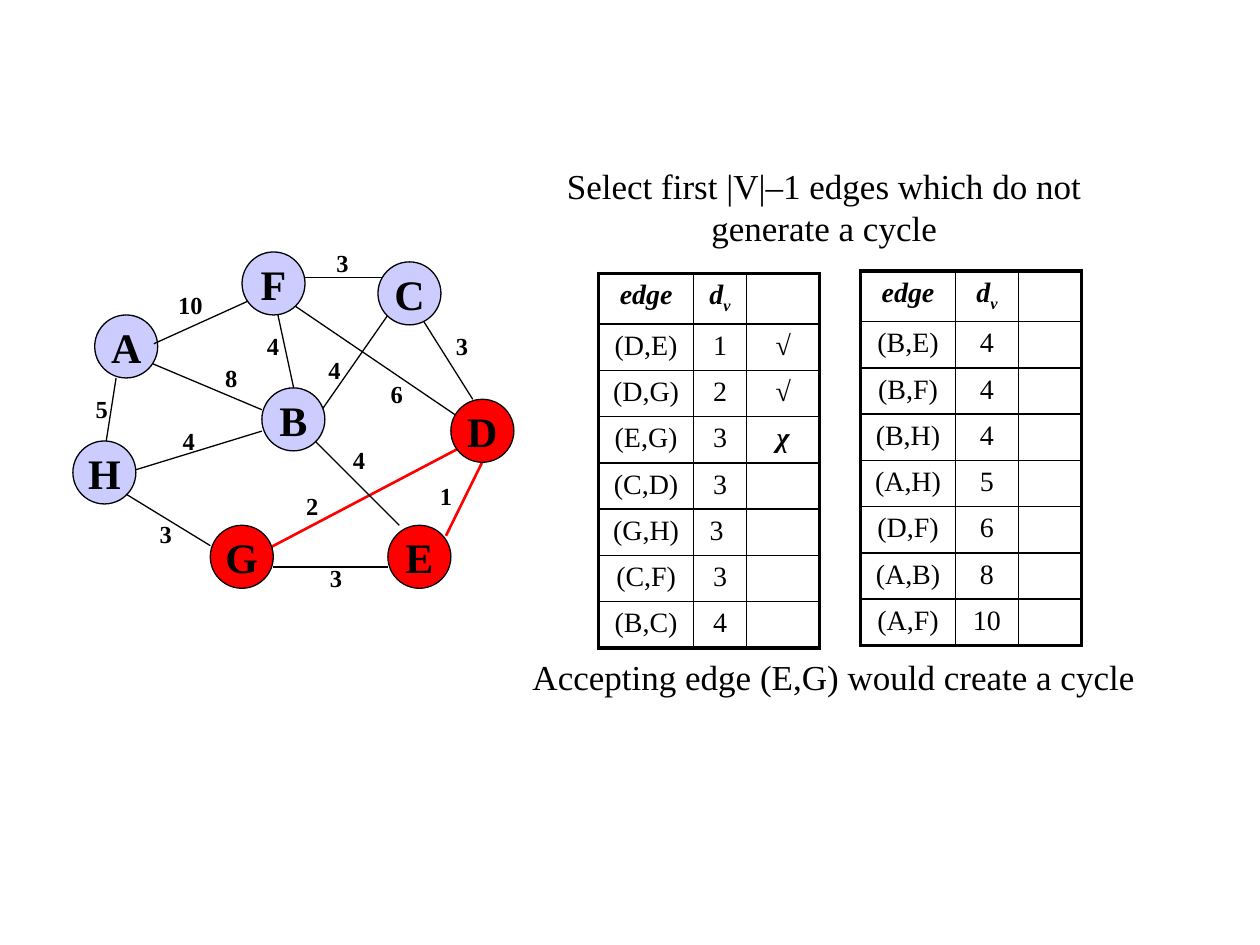
from lxml import etree
from pptx import Presentation
from pptx.dml.color import RGBColor
from pptx.enum.shapes import MSO_CONNECTOR, MSO_SHAPE
from pptx.enum.text import MSO_ANCHOR, MSO_AUTO_SIZE, PP_ALIGN
from pptx.oxml.ns import qn
from pptx.util import Cm, Pt

CENTER = PP_ALIGN.CENTER
TOP, MIDDLE = MSO_ANCHOR.TOP, MSO_ANCHOR.MIDDLE
OVAL, STRAIGHT = MSO_SHAPE.OVAL, MSO_CONNECTOR.STRAIGHT
NO_AUTOFIT = MSO_AUTO_SIZE.NONE

FONT = "Times New Roman"
BLACK, RED, LAVENDER = "000000", "FF0000", "CCCCFF"
NODE_SIZE = 1.27
LABEL_HEIGHT, LABEL_WIDTH, WIDE_LABEL = 0.85, 0.85, 1.32
ROW_HEIGHT = 0.93
OUTER_BORDER, INNER_BORDER = 2.25, 1

HEADLINE = "Select first |V|–1 edges which do not generate a cycle"
HEADLINE_BOX = (11, 3.18, 11.23, 1.96)
REMARK = "Accepting edge (E,G) would create a cycle"
REMARK_BOX = (10.36, 13.08, 12.9, 1.09)

NODES = {
    "A": (1.91, 6.35), "H": (1.47, 8.89), "B": (5.28, 7.82), "F": (4.88, 5.08),
    "E": (7.82, 10.59), "D": (9.09, 8.05), "C": (7.62, 5.28), "G": (4.24, 10.59),
}
SELECTED_NODES = "DEG"
SELECTED_EDGES = ("DE", "GD")

# name, weight, start, end, label position, label width
EDGES_BEHIND = [
    ("DE", "1", (10.03, 8.69), (8.99, 10.8), (8.33, 9.58), WIDE_LABEL),
    ("FB", "4", (5.51, 5.92), (5.92, 7.82), (5.08, 6.55), LABEL_WIDTH),
    ("BC", "4", (6.35, 8.46), (7.82, 6.35), (6.32, 7.04), LABEL_WIDTH),
    ("DF", "6", (9.32, 8.46), (5.92, 6.15), (7.34, 7.52), WIDE_LABEL),
    ("HB", "4", (2.54, 9.53), (5.28, 8.69), (3.38, 8.46), LABEL_WIDTH),
    ("GD", "2", (5.08, 11.23), (9.53, 8.89), (5.87, 9.78), LABEL_WIDTH),
    ("HA", "5", (2.11, 9.09), (2.34, 7.62), (1.63, 7.82), LABEL_WIDTH),
    ("AB", "8", (2.74, 7.19), (5.28, 8.26), (4.24, 7.19), LABEL_WIDTH),
    ("FC", "3", (6.05, 5.59), (7.75, 5.59), (6.48, 4.88), LABEL_WIDTH),
    ("CD", "3", (8.46, 6.35), (9.53, 8.05), (8.89, 6.55), LABEL_WIDTH),
]
EDGES_IN_FRONT = [
    ("BE", "4", (6.35, 8.89), (8.05, 10.59), (6.58, 8.84), WIDE_LABEL),
    ("EG", "3", (7.82, 11.43), (5.51, 11.43), (6.35, 11.23), LABEL_WIDTH),
    ("GH", "3", (4.24, 11), (2.54, 9.96), (2.92, 10.34), LABEL_WIDTH),
    ("AF", "10", (3.1, 6.93), (5, 6.07), (3.18, 5.72), WIDE_LABEL),
]

TABLES = [
    ((12.07, 5.51), (1.91, 1.07, 1.47), [
        ("(D,E)", "1", "√"), ("(D,G)", "2", "√"), ("(E,G)", "3", "χ"),
        ("(C,D)", "3", ""), ("(G,H)", "3 ", ""), ("(C,F)", "3", ""),
        ("(B,C)", "4", "")]),
    ((17.35, 5.46), (1.91, 1.27, 1.27), [
        ("(B,E)", "4", ""), ("(B,F)", "4", ""), ("(B,H)", "4", ""),
        ("(A,H)", "5", ""), ("(D,F)", "6", ""), ("(A,B)", "8", ""),
        ("(A,F)", "10", "")]),
]


def color(value):
    return RGBColor.from_string(value)


def lengths(values):
    return [Cm(value) for value in values]


def write(frame, text, size=14, bold=False, italic=False, subscript=""):
    paragraph = frame.paragraphs[0]
    paragraph.alignment = CENTER
    for part in filter(None, (text, subscript)):
        run = paragraph.add_run()
        run.text = part
        run.font.name = FONT
        run.font.size = Pt(size)
        run.font.bold = bold
        run.font.italic = italic
        run.font.color.rgb = color(BLACK)
    if subscript:
        run.font._element.set("baseline", "-25000")
    if not text:
        etree.SubElement(paragraph._p, qn("a:endParaRPr"), sz=str(size * 100))


def add_text(slide, box, text, **text_format):
    frame = slide.shapes.add_textbox(*lengths(box)).text_frame
    frame.word_wrap = True
    write(frame, text, **text_format)


def add_edge(slide, name, start, end):
    selected = name in SELECTED_EDGES
    connector = slide.shapes.add_connector(STRAIGHT, *lengths(start + end))
    connector.line.color.rgb = color(RED if selected else BLACK)
    connector.line.width = Pt(1.5 if selected else 0.75)
    etree.SubElement(connector._element.spPr, qn("a:effectLst"))


def add_node(slide, name, position):
    shape = slide.shapes.add_shape(OVAL, *lengths(position + (NODE_SIZE, NODE_SIZE)))
    shape.shadow.inherit = False
    shape.fill.solid()
    shape.fill.fore_color.rgb = color(RED if name in SELECTED_NODES else LAVENDER)
    shape.line.color.rgb = color(BLACK)
    shape.line.width = Pt(0.75)
    shape.text_frame.word_wrap = False
    shape.text_frame.vertical_anchor = MIDDLE
    write(shape.text_frame, name, size=24, bold=True)


def add_border(cell, side, width):
    properties = cell._tc.get_or_add_tcPr()
    line = etree.SubElement(properties, qn(f"a:ln{side}"), w=str(Pt(width)))
    fill = etree.SubElement(line, qn("a:solidFill"))
    etree.SubElement(fill, qn("a:srgbClr"), val=BLACK)


def add_edge_table(slide, position, widths, rows):
    row_count, column_count = len(rows) + 1, len(widths)
    size = (sum(widths), ROW_HEIGHT * row_count)
    table = slide.shapes.add_table(row_count, column_count, *lengths(position + size)).table
    table.first_row = table.horz_banding = False
    for column, width in zip(table.columns, widths):
        column.width = Cm(width)
    for row in table.rows:
        row.height = Cm(ROW_HEIGHT)
    for r, texts in enumerate([("edge", "d", "")] + rows):
        for c, text in enumerate(texts):
            cell = table.cell(r, c)
            emphasis = r == 0 or c == 2
            write(cell.text_frame, text, size=16, bold=emphasis, italic=emphasis,
                  subscript="v" if (r, c) == (0, 1) else "")
            outer_sides = {"L": c == 0, "R": c == column_count - 1,
                           "T": r == 0, "B": r == row_count - 1}
            for side, outer in outer_sides.items():
                add_border(cell, side, OUTER_BORDER if outer else INNER_BORDER)
            cell.fill.background()


def add_headline(slide):
    title = slide.shapes.title
    title.left, title.top, title.width, title.height = lengths(HEADLINE_BOX)
    title.text_frame.word_wrap = True
    title.text_frame.auto_size = NO_AUTOFIT
    title.text_frame.vertical_anchor = TOP
    write(title.text_frame, HEADLINE, size=20)


def main():
    presentation = Presentation()
    presentation.slide_width, presentation.slide_height = Cm(25.4), Cm(19.05)
    slide = presentation.slides.add_slide(presentation.slide_layouts[5])
    add_headline(slide)
    for name, _, start, end, _, _ in EDGES_BEHIND:
        add_edge(slide, name, start, end)
    for name, position in NODES.items():
        add_node(slide, name, position)
    for name, _, start, end, _, _ in EDGES_IN_FRONT:
        add_edge(slide, name, start, end)
    for _, weight, _, _, position, width in EDGES_BEHIND + EDGES_IN_FRONT:
        add_text(slide, position + (width, LABEL_HEIGHT), weight, bold=True)
    for position, widths, rows in TABLES:
        add_edge_table(slide, position, widths, rows)
    add_text(slide, REMARK_BOX, REMARK, size=20)
    presentation.save("out.pptx")


if __name__ == "__main__":
    main()
